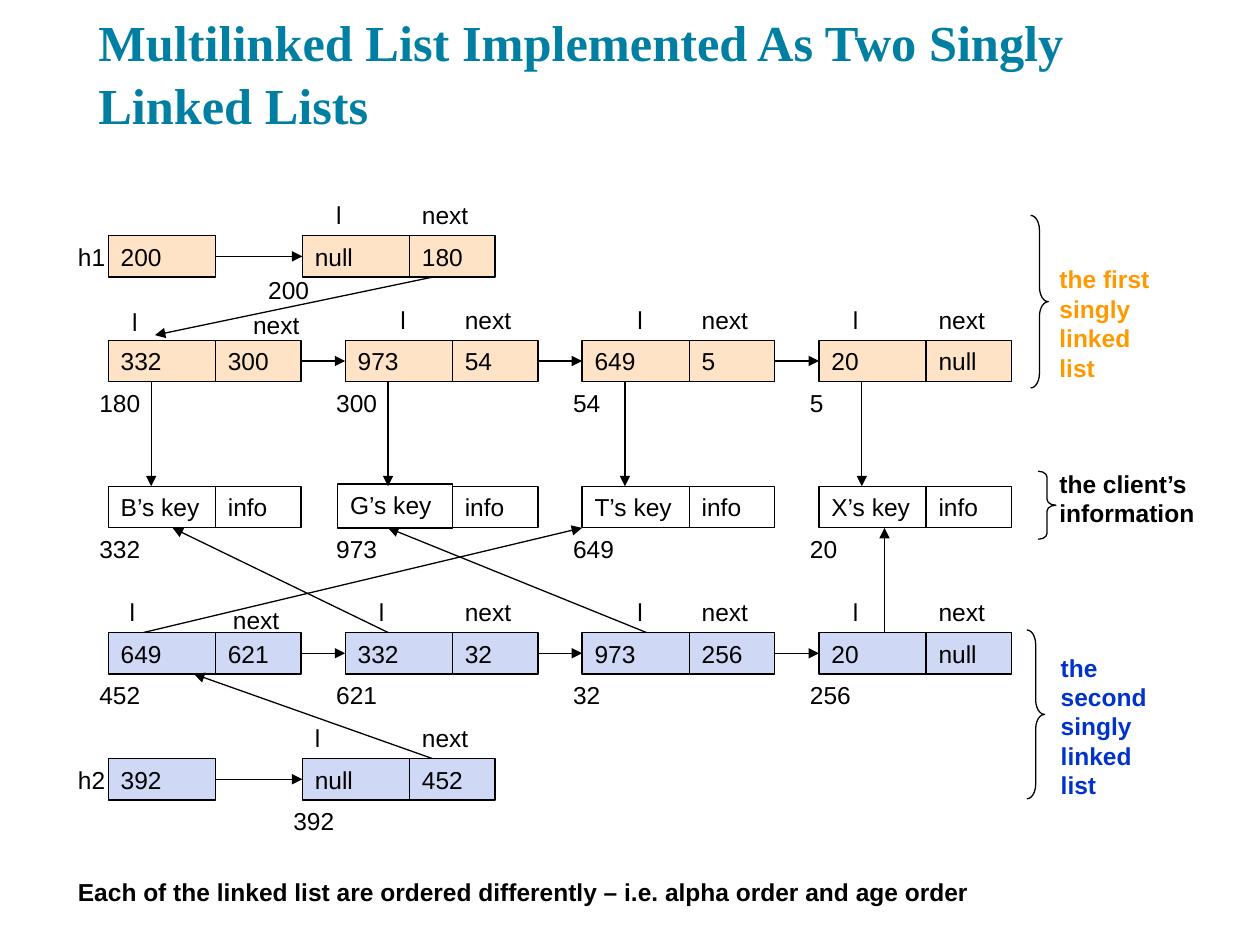
from dataclasses import dataclass
from typing import Optional

from lxml import etree
from pptx import Presentation
from pptx.dml.color import RGBColor
from pptx.enum.shapes import MSO_CONNECTOR, MSO_SHAPE
from pptx.enum.text import MSO_ANCHOR, PP_ALIGN
from pptx.oxml.ns import qn
from pptx.util import Inches, Pt

RECTANGLE = MSO_SHAPE.RECTANGLE
RIGHT_BRACE = MSO_SHAPE.RIGHT_BRACE
STRAIGHT = MSO_CONNECTOR.STRAIGHT
LEFT, TOP, BOTTOM = PP_ALIGN.LEFT, MSO_ANCHOR.TOP, MSO_ANCHOR.BOTTOM

COLORS = {
    "title": "007FA3", "ink": "000000", "client": "FFFFFF",
    "first": "FFCC99", "first_note": "FF9900", "second": "0033CC",
}
OPACITY = {"first": 55, "second": 19, "client": 100}  # percent

CELL_H, DATA_W, NEXT_W = 0.33, 0.85, 0.68
COLUMNS = [0.86 + 1.88 * i for i in range(4)]
ROW_Y = {"first": 2.7, "client": 3.86, "second": 5.02}
HEAD_NODE_X = 2.4
LEFT_SIDE, RIGHT_SIDE = 1, 3


@dataclass
class Node:
    data: str
    link: str
    address: str
    data_label_x: Optional[float] = None  # None: the cells carry no captions
    data_label_rise: float = CELL_H
    next_label_shift: float = 0
    next_label_rise: float = CELL_H


@dataclass
class Head:
    name: str
    node: Node
    group: str
    y: float
    address_at: tuple


@dataclass
class Note:
    text: str
    color: str
    at: tuple
    brace_at: tuple
    brace_curve: float


CHAINS = {
    "first": [
        Node("332", "300", "180", 0.95, 0.31, 0.2, 0.29),
        Node("973", "54", "300", 3.08),
        Node("649", "5", "54", 4.96),
        Node("20", "null", "5", 6.67),
    ],
    "client": [
        Node("B’s key", "info", "332"),
        Node("G’s key", "info", "973"),
        Node("T’s key", "info", "649"),
        Node("X’s key", "info", "20"),
    ],
    "second": [
        Node("649", "621", "452", 0.93, CELL_H, 0.04, 0.27),
        Node("332", "32", "621", 2.91),
        Node("973", "256", "32", 4.96),
        Node("20", "null", "256", 6.67),
    ],
}
HEADS = [
    Head("h1", Node("null", "180", "200", 2.57), "first", 1.87, (2.03, 2.13)),
    Head("h2", Node("null", "452", "392", 2.4), "second", 6.02, (2.23, 6.35)),
]
NOTES = [
    Note("the first singly linked list", "first_note",
         (8.31, 2.05, 1.08, 1.26), (8.18, 1.71, 0.14, 1.37), 0.83),
    Note("the client’s information", "ink",
         (8.31, 3.67, 1.3, 0.73), (8.24, 3.74, 0.14, 0.54), 0.33),
    Note("the second singly linked list", "second",
         (8.32, 5.13, 1.08, 1.26), (8.15, 5, 0.14, 1.34), 0.82),
]
# Links from the list nodes to the client's data and from heads to lists
FREE_LINKS = [
    *[((x + 0.34, 3.03), (x + 0.34, 3.86)) for x in COLUMNS],
    ((3.43, 2.2), (1.23, 2.66)),
    ((3.43, 6.02), (1.54, 5.35)),
    ((1.14, 5.02), (4.62, 4.19)),
    ((3.08, 5.02), (1.37, 4.19)),
    ((5.13, 5.02), (3.08, 4.19)),
    ((7.02, 5.02), (7.02, 4.19)),
]


def rgb(name: str) -> RGBColor:
    return RGBColor.from_string(COLORS[name])


def write(frame, text: str, *, size: float = 14, font: str = "Arial", color: str = "ink",
          bold: bool = False, anchor=TOP, spacing: float = 1.0) -> None:
    frame.word_wrap = True
    frame.vertical_anchor = anchor
    paragraph = frame.paragraphs[0]
    paragraph.alignment = LEFT
    paragraph.line_spacing = spacing
    run = paragraph.add_run()
    run.text = text
    run.font.size, run.font.name, run.font.bold = Pt(size), font, bold
    run.font.color.rgb = rgb(color)


def add_label(slide, text: str, x: float, y: float, w: float = NEXT_W,
              h: float = CELL_H, **style) -> None:
    box = slide.shapes.add_textbox(Inches(x), Inches(y), Inches(w), Inches(h))
    write(box.text_frame, text, **style)


def add_outlined(slide, kind, x: float, y: float, w: float, h: float):
    shape = slide.shapes.add_shape(kind, Inches(x), Inches(y), Inches(w), Inches(h))
    shape.shadow.inherit = False
    shape.line.color.rgb = rgb("ink")
    shape.line.width = Pt(0.75)
    return shape


def add_cell(slide, text: str, group: str, x: float, y: float, w: float, h: float = CELL_H):
    cell = add_outlined(slide, RECTANGLE, x, y, w, h)
    cell.fill.solid()
    cell.fill.fore_color.rgb = rgb(group)
    if OPACITY[group] < 100:
        color = cell.element.spPr.find(qn("a:solidFill"))[0]
        etree.SubElement(color, qn("a:alpha"), val=str(OPACITY[group] * 1000))
    write(cell.text_frame, text)
    return cell


def add_arrow(slide, start: tuple = (0, 0), end: tuple = (0, 0), source=None, target=None) -> None:
    arrow = slide.shapes.add_connector(STRAIGHT, *[Inches(v) for v in (*start, *end)])
    if source is not None:
        arrow.begin_connect(source, RIGHT_SIDE)
        arrow.end_connect(target, LEFT_SIDE)
    arrow.line.color.rgb = rgb("ink")
    arrow.line.width = Pt(0.75)
    etree.SubElement(arrow.line._get_or_add_ln(), qn("a:tailEnd"), type="triangle")
    etree.SubElement(arrow.element.spPr, qn("a:effectLst"))


def add_node(slide, node: Node, group: str, x: float, y: float) -> tuple:
    next_x = x + DATA_W
    data_box = (x, y, DATA_W, CELL_H)
    if node.data == "G’s key":  # this cell stands out a little from its row
        data_box = (2.68, 3.84, 0.91, 0.35)
    data_cell = add_cell(slide, node.data, group, *data_box)
    next_cell = add_cell(slide, node.link, group, next_x, y, NEXT_W)
    if node.data_label_x is not None:
        add_label(slide, "l", node.data_label_x, y - node.data_label_rise, 0.34)
        add_label(slide, "next", next_x + node.next_label_shift, y - node.next_label_rise)
    return data_cell, next_cell


def main() -> None:
    deck = Presentation()
    deck.slide_width, deck.slide_height = Inches(10), Inches(7.5)
    slide = deck.slides.add_slide(deck.slide_layouts[5])

    # Title
    title = slide.shapes.title
    title.left, title.top, title.width, title.height = [Inches(v) for v in (0.68, 0.22, 9, 0.95)]
    frame = title.text_frame
    frame.margin_left = frame.margin_right = frame.margin_top = frame.margin_bottom = Inches(0.1)
    write(frame, "Multilinked List Implemented As Two Singly Linked Lists", size=28.8,
          font="Times New Roman", color="title", bold=True, anchor=BOTTOM, spacing=1.05)

    # Rows of nodes, chained where they form a list
    for group, nodes in CHAINS.items():
        y = ROW_Y[group]
        cells = []
        for x, node in zip(COLUMNS, nodes):
            cells.append(add_node(slide, node, group, x, y))
            add_label(slide, node.address, x - 0.17, y + CELL_H)
        if group != "client":
            for (_, source), (target, _) in zip(cells, cells[1:]):
                add_arrow(slide, source=source, target=target)

    # List heads
    for head in HEADS:
        pointer = add_cell(slide, head.node.address, head.group, COLUMNS[0], head.y, DATA_W)
        first_cell, _ = add_node(slide, head.node, head.group, HEAD_NODE_X, head.y)
        add_arrow(slide, source=pointer, target=first_cell)
        add_label(slide, head.name, 0.52, head.y, 0.51)
        add_label(slide, head.node.address, *head.address_at)

    # Links across rows
    for start, end in FREE_LINKS:
        add_arrow(slide, start, end)

    # Braces and their notes
    for note in NOTES:
        brace = add_outlined(slide, RIGHT_BRACE, *note.brace_at)
        brace.fill.background()
        brace.adjustments[0], brace.adjustments[1] = note.brace_curve, 0.5
        add_label(slide, note.text, *note.at, color=note.color, bold=True)

    # Closing remark
    add_label(slide, "Each of the linked list are ordered differently – i.e. alpha order and age order",
              0.52, 6.91, 8.3, 0.73, bold=True)

    deck.save("out.pptx")


if __name__ == "__main__":
    main()
